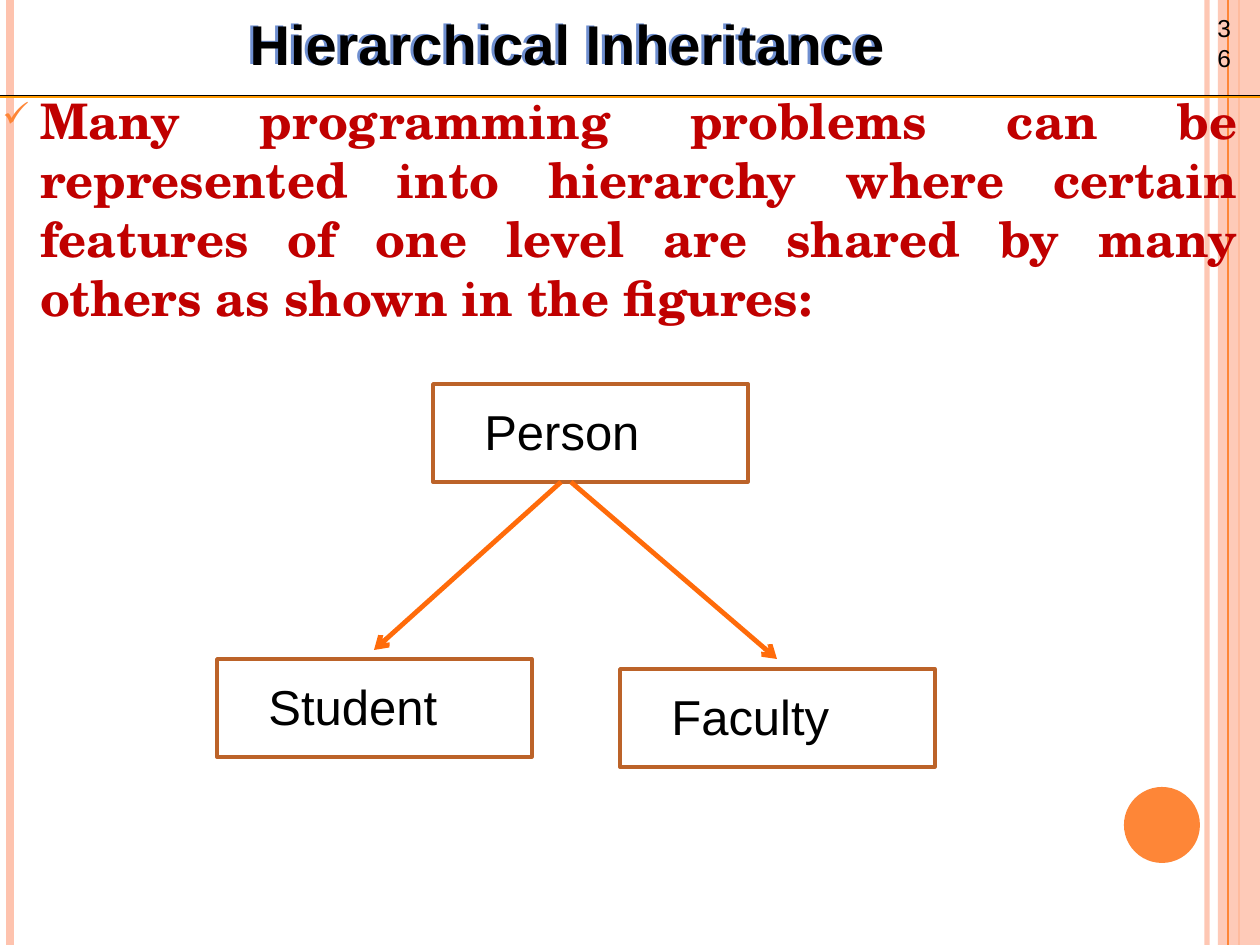
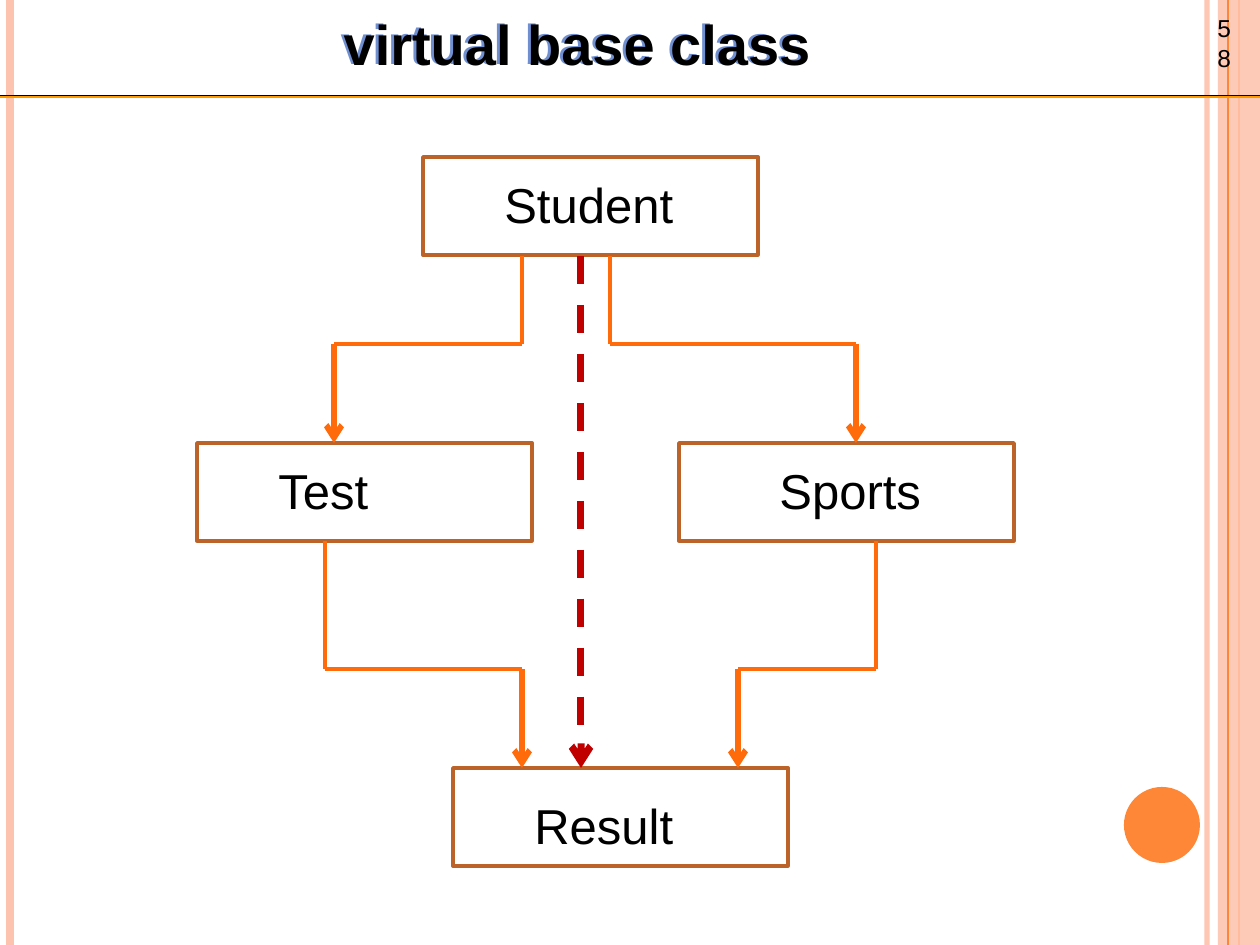
from dataclasses import dataclass

from lxml import etree
from pptx import Presentation
from pptx.dml.color import RGBColor
from pptx.enum.dml import MSO_LINE
from pptx.enum.shapes import MSO_CONNECTOR, MSO_SHAPE
from pptx.enum.text import MSO_ANCHOR, PP_ALIGN
from pptx.oxml.ns import qn
from pptx.util import Emu, Pt

STRAIGHT = MSO_CONNECTOR.STRAIGHT
RECT, OVAL = MSO_SHAPE.RECTANGLE, MSO_SHAPE.OVAL
TOP, LEFT, JUST = MSO_ANCHOR.TOP, PP_ALIGN.LEFT, PP_ALIGN.JUSTIFY
DASH = MSO_LINE.DASH

BLACK = RGBColor(0x00, 0x00, 0x00)
PINK = RGBColor(0xFE, 0xC3, 0xAE)
ORANGE = RGBColor(0xFE, 0x86, 0x37)
AMBER = RGBColor(0xFF, 0x99, 0x00)
BROWN = RGBColor(0xBC, 0x63, 0x29)
FLAME = RGBColor(0xFF, 0x6B, 0x0A)
RED = RGBColor(0xC0, 0x00, 0x00)
BLUE = RGBColor(0x6F, 0x8F, 0xD0)

WIDE, HIGH = 1260, 945
SCALE = 914400 / 126
LEAD = 1.22
NODE_H = 98
LABEL_W, LABEL_H = 256, 72

TITLE = {"name": "Arial", "size": Pt(32), "bold": True}
LABEL = {"name": "Arial", "size": Pt(28), "bold": False}
NUMBER = {"name": "Arial", "size": Pt(14), "bold": False}
BODY = {"name": "TeX Gyre Schola", "size": Pt(28), "bold": True}


@dataclass
class Line:
    x1: int
    y1: int
    x2: int
    y2: int
    color: RGBColor = FLAME
    width: float = 2
    arrow: bool = False
    dash: bool = False
    alpha: int = 100


@dataclass
class Node:
    text: str
    x: int
    y: int
    w: int
    dx: int
    dy: int = 10


@dataclass
class Page:
    title: str
    left: int
    width: int
    number: str
    nodes: list[Node]
    lines: list[Line]
    body: str = ""


def px(n: int) -> Emu:
    return Emu(round(n * SCALE))


def assign(obj, vals: dict) -> None:
    for key, val in vals.items():
        setattr(obj, key, val)


def sub(parent, tag: str, **vals):
    return etree.SubElement(parent, qn(tag), vals)


def fade(parent, alpha: int) -> None:
    color = next(parent.iter(qn("a:srgbClr")))
    sub(color, "a:alpha", val=str(alpha * 1000))


def draw_line(slide, item: Line) -> None:
    ends = map(px, (item.x1, item.y1, item.x2, item.y2))
    link = slide.shapes.add_connector(STRAIGHT, *ends)
    link.line.color.rgb = item.color
    link.line.width = Pt(item.width)
    if item.dash:
        link.line.dash_style = DASH
    stroke = link.line._get_or_add_ln()
    if item.alpha < 100:
        fade(stroke, item.alpha)
    if item.arrow:
        sub(stroke, "a:tailEnd", type="arrow")
    sub(link._element.spPr, "a:effectLst")


def draw_shape(slide, kind, x: int, y: int, w: int, h: int, fill=None):
    shape = slide.shapes.add_shape(kind, px(x), px(y), px(w), px(h))
    shape.shadow.inherit = False
    if fill is None:
        shape.fill.background()
        shape.line.color.rgb = BROWN
        shape.line.width = Pt(2)
    else:
        shape.fill.solid()
        shape.fill.fore_color.rgb = fill
        shape.line.fill.background()
    return shape


def write(frame, text: str, look: dict, color=BLACK, wrap=True):
    assign(frame, {"word_wrap": wrap, "vertical_anchor": TOP})
    para = frame.paragraphs[0]
    para.alignment = LEFT
    run = para.add_run()
    run.text = text
    assign(run.font, look)
    run.font.color.rgb = color
    return para


def draw_text(slide, text: str, x: int, y: int, w: int, h: int, look: dict) -> None:
    box = slide.shapes.add_textbox(px(x), px(y), px(w), px(h))
    para = write(box.text_frame, text, look)
    para.line_spacing = Pt(look["size"].pt * LEAD)


def draw_title(slide, page: Page) -> None:
    title = slide.shapes.title
    assign(title, {"left": px(page.left), "top": px(2),
                   "width": px(page.width), "height": px(149)})
    para = write(title.text_frame, page.title, TITLE, wrap=False)
    para.line_spacing = Pt(TITLE["size"].pt * LEAD)
    # Soft blue edge to the left of the letters
    effect = sub(title._element.spPr, "a:effectLst")
    shade = sub(effect, "a:outerShdw", dist="22000", dir="11400000", algn="ctr")
    sub(shade, "a:srgbClr", val=str(BLUE))


def draw_body(slide, text: str) -> None:
    box = slide.shapes.add_textbox(px(-10), px(78), px(WIDE), px(73))
    frame = box.text_frame
    for side in ("left", "top", "right", "bottom"):
        setattr(frame, f"margin_{side}", Pt(7.2))
    para = write(frame, text, BODY, RED)
    para.alignment = JUST
    props = para._p.get_or_add_pPr()
    indent = px(38)
    props.set("marL", str(indent))
    props.set("indent", str(-indent))
    sub(sub(props, "a:buClr"), "a:srgbClr", val=str(ORANGE))
    sub(props, "a:buSzPct", val="70000")
    sub(props, "a:buChar", char="✓")


def draw_frame(slide, number: str) -> None:
    # Side bands
    for x, color, width, alpha in ((1207, PINK, 3, 93), (10, PINK, 4.5, 100),
                                   (1239, ORANGE, 1.5, 100)):
        draw_line(slide, Line(x, 0, x, HIGH, color, width, alpha=alpha))
    band = draw_shape(slide, RECT, 1218, 0, 42, HIGH, PINK)
    fade(band._element.spPr, 87)
    draw_line(slide, Line(1228, 0, 1228, HIGH, ORANGE, 0.75))
    # Dot, page number and title rule
    draw_shape(slide, OVAL, 1124, 787, 76, 76, ORANGE)
    draw_text(slide, number, 1205, 6, 40, 42, NUMBER)
    for y, color in ((96, BLACK), (97, AMBER)):
        draw_line(slide, Line(0, y, WIDE, y, color, 0.75))


def draw_node(slide, node: Node) -> None:
    draw_shape(slide, RECT, node.x, node.y, node.w, NODE_H)
    draw_text(slide, node.text, node.x + node.dx, node.y + node.dy,
              LABEL_W, LABEL_H, LABEL)


def elbow(x1: int, y1: int, mid: int, x2: int, y2: int) -> list[Line]:
    return [Line(x1, y1, x1, mid), Line(x1, mid, x2, mid),
            Line(x2, mid, x2, y2, width=3.25, arrow=True)]


PAGES = [
    Page(
        "Hierarchical Inheritance", 237, 665, "36",
        [Node("Person", 433, 384, 315, 39),
         Node("Student", 217, 659, 315, 39),
         Node("Faculty", 620, 669, 315, 39)],
        [Line(561, 482, 374, 650, width=2.75, arrow=True),
         Line(571, 482, 777, 659, width=2.75, arrow=True)],
        "Many programming problems can be represented into hierarchy where "
        "certain features of one level are shared by many others as shown "
        "in the figures:",
    ),
    Page(
        "virtual base class", 331, 496, "58",
        [Node("Student", 423, 157, 335, 69),
         Node("Result", 453, 768, 335, 69, 20),
         Node("Test", 197, 443, 335, 69),
         Node("Sports", 679, 443, 335, 88)],
        [*elbow(522, 256, 344, 334, 443),
         *elbow(610, 256, 344, 856, 443),
         *elbow(325, 541, 669, 522, 768),
         *elbow(876, 541, 669, 738, 768),
         Line(581, 256, 581, 768, RED, 4, arrow=True, dash=True)],
    ),
]


def main() -> None:
    deck = Presentation()
    assign(deck, {"slide_width": px(WIDE), "slide_height": px(HIGH)})
    for page in PAGES:
        slide = deck.slides.add_slide(deck.slide_layouts[5])
        draw_frame(slide, page.number)
        draw_title(slide, page)
        if page.body:
            draw_body(slide, page.body)
        for node in page.nodes:
            draw_node(slide, node)
        for item in page.lines:
            draw_line(slide, item)
    deck.save("out.pptx")


if __name__ == "__main__":
    main()
